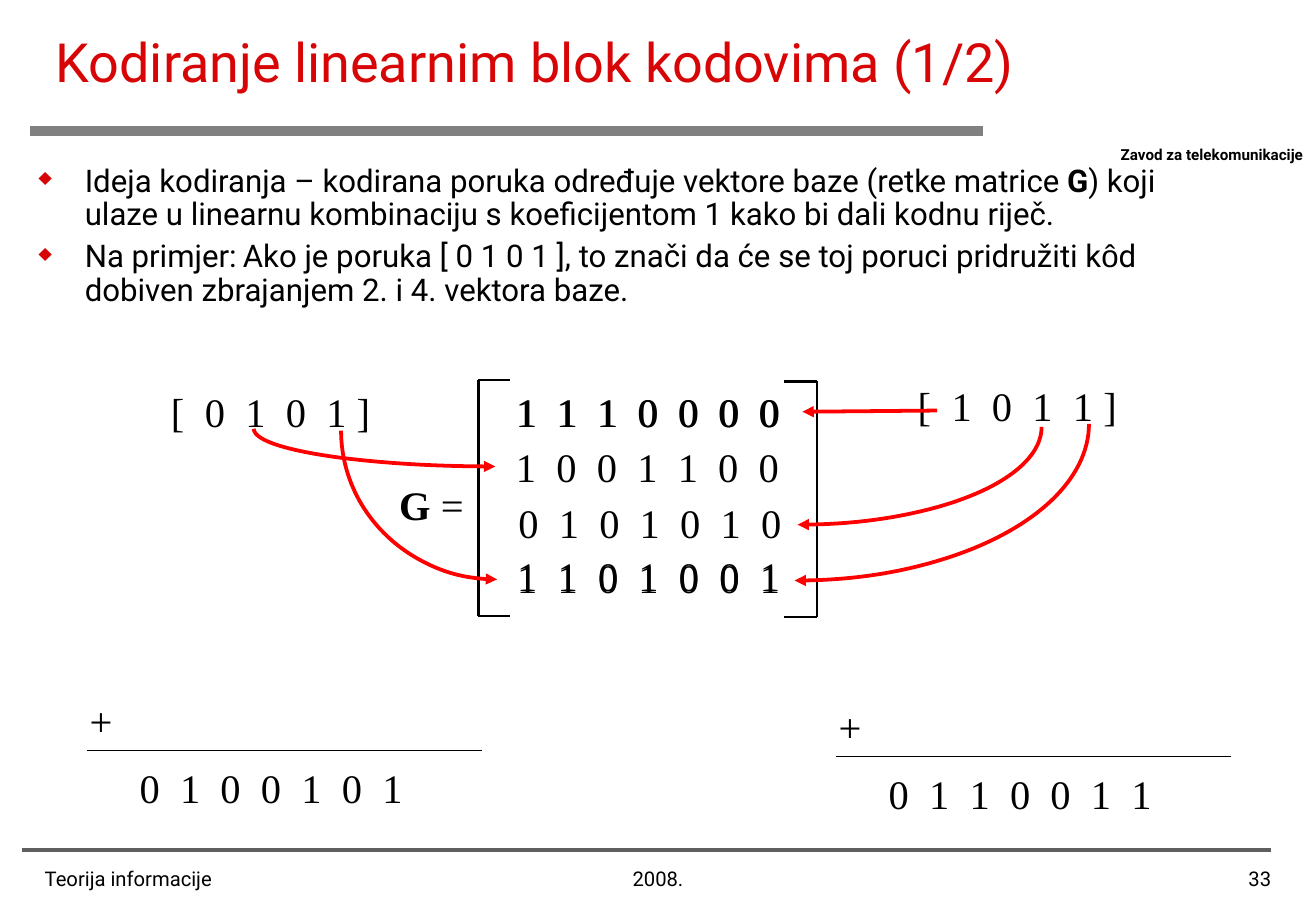
import pptx
import pptx.dml.color
import pptx.enum.shapes
import pptx.enum.text
import pptx.oxml.ns
import pptx.util
from lxml import etree

Inches = pptx.util.Inches
Align = pptx.enum.text.PP_ALIGN
Anchor = pptx.enum.text.MSO_ANCHOR
qn = pptx.oxml.ns.qn

COLORS = {"black": "000000", "title": "D70505", "arrow": "FF0000",
          "rule": "808080", "footer": "5F5F5F"}
DIGIT_PITCH = 1 / 3
BRACKET_WIDTH = 0.28


def color(name):
    return pptx.dml.color.RGBColor.from_string(COLORS[name])


def add_text(paragraph, text, size=24, font="Times New Roman", fill="black", bold=False):
    run = paragraph.add_run()
    run.text = text
    run.font.size = pptx.util.Pt(size)
    run.font.name = font
    run.font.bold = bold
    run.font.color.rgb = color(fill)


class SlideBuilder:
    """Draws styled text, digit rows, lines and arcs on one slide."""

    def __init__(self, presentation):
        self.slide = presentation.slides.add_slide(presentation.slide_layouts[6])
        self.shapes = self.slide.shapes

    def box(self, left, top, width, height, anchor=Anchor.TOP, align=Align.LEFT):
        frame = self.shapes.add_textbox(*map(Inches, (left, top, width, height))).text_frame
        frame.word_wrap = True
        frame.vertical_anchor = anchor
        frame.paragraphs[0].alignment = align
        return frame

    def label(self, text, left, top, width, height, anchor=Anchor.TOP, align=Align.LEFT, **style):
        frame = self.box(left, top, width, height, anchor, align)
        add_text(frame.paragraphs[0], text, **style)
        return frame

    def digits(self, text, left, top, width=2.53, indent=0.0, first_tab=DIGIT_PITCH):
        frame = self.label(text.replace(" ", "\t").replace("_", " "), left, top, width, 0.5)
        frame.margin_left = Inches(0.1 + indent)
        properties = frame.paragraphs[0]._p.get_or_add_pPr()
        tabs = etree.SubElement(properties, qn("a:tabLst"))
        for index in range(text.count(" ")):
            position = Inches(first_tab + index * DIGIT_PITCH)
            etree.SubElement(tabs, qn("a:tab"), pos=str(position), algn="l")

    def vector(self, text, left, top):
        self.digits(text, left, top, indent=0.08)

    def message(self, text, left, top):
        self.digits(text, left, top, width=1.84, first_tab=BRACKET_WIDTH)

    def stroke(self, shape, name, width, arrow=None):
        shape.line.color.rgb = color(name)
        shape.line.width = pptx.util.Pt(width)
        if arrow:
            etree.SubElement(shape.line._get_or_add_ln(), qn(f"a:{arrow}End"), type="triangle")

    def line(self, start, end, name="black", width=1.5, arrow=None):
        straight = pptx.enum.shapes.MSO_CONNECTOR.STRAIGHT
        connector = self.shapes.add_connector(straight, *map(Inches, (*start, *end)))
        self.stroke(connector, name, width, arrow)
        etree.SubElement(connector._element.spPr, qn("a:effectLst"))

    def bracket(self, spine, tip, top, bottom):
        corners = [(tip, bottom), (spine, bottom), (spine, top), (tip, top)]
        for start, end in zip(corners, corners[1:]):
            self.line(start, end)

    def arc(self, left, top, width, height, start_angle, arrow):
        arc = self.shapes.add_shape(pptx.enum.shapes.MSO_SHAPE.ARC,
                                    *map(Inches, (left, top, width, height)))
        arc.shadow.inherit = False
        arc.fill.background()
        arc.adjustments[0] = start_angle * 0.6
        arc.adjustments[1] = (start_angle + 90) * 0.6
        self.stroke(arc, "arrow", 2.25, arrow)

    def code_sum(self, code_word, left, top):
        self.line((left, top), (left + 3.25, top), width=0.75)
        self.vector(code_word, left + 0.25, top + 0.05)
        self.label("+", left - 0.08, top - 0.5, 0.39, 0.5)

    def bullets(self, items, left, top, width, height):
        frame = self.box(left, top, width, height)
        for index, runs in enumerate(items):
            paragraph = frame.add_paragraph() if index else frame.paragraphs[0]
            properties = paragraph._p.get_or_add_pPr()
            properties.set("marL", str(Inches(0.38)))
            properties.set("indent", str(-Inches(0.38)))
            bullet_color = etree.SubElement(properties, qn("a:buClr"))
            etree.SubElement(bullet_color, qn("a:srgbClr"), val=COLORS["title"])
            etree.SubElement(properties, qn("a:buSzPct"), val="75000")
            etree.SubElement(properties, qn("a:buChar"), char="♦")
            paragraph.line_spacing = 0.9
            if index:
                paragraph.space_before = pptx.util.Pt(5)
            for text, style in runs:
                add_text(paragraph, text, **{"size": 18.5, "font": "Roboto", **style})


def main():
    presentation = pptx.Presentation()
    presentation.slide_width = Inches(10.84)
    presentation.slide_height = Inches(7.5)
    builder = SlideBuilder(presentation)

    builder.line((8.1, 1.08), (0.25, 1.08), "rule", 6)
    builder.label("Zavod za telekomunikacije", 8.9, 1.15, 1.93, 0.25,
                  align=Align.RIGHT, size=9, font="Roboto", bold=True)
    builder.line((10.47, 7), (0.18, 7), "footer", 2.25)

    builder.bracket(3.94, 4.2, 3.13, 5.07)
    builder.bracket(6.73, 6.46, 3.14, 5.08)
    builder.message("[ 0 1 0 1_]", 1.31, 3.14)
    builder.message("[ 1 0 1 1_]", 7.46, 3.09)
    for left, top, vector in [
        (4.07, 3.14, "1 1 1 0 0 0 0"),
        (4.08, 3.14, "1 1 1 0 0 0 0"),
        (4.07, 3.59, "1 0 0 1 1 0 0"),
        (4.09, 4.05, "0 1 0 1 0 1 0"),
        (4.08, 4.49, "1 1 0 1 0 0 1"),
        (4.08, 4.5, "1 1 0 1 0 0 1"),
    ]:
        builder.vector(vector, left, top)
    matrix_name = builder.label("G ", 3.19, 3.9, 0.8, 0.5, bold=True)
    add_text(matrix_name.paragraphs[0], "=")

    builder.arc(2.09, 3.22, 3.98, 0.62, 90, "head")
    builder.arc(2.81, 2.32, 2.57, 2.45, 90, "head")
    builder.arc(4.56, 2.71, 4.02, 1.61, 0, "tail")
    builder.arc(4.12, 2.2, 4.85, 2.58, 0, "tail")
    builder.line((7.72, 3.38), (6.61, 3.39), "arrow", 2.25, "tail")

    builder.code_sum("0 1 0 0 1 0 1", 0.72, 6.18)
    builder.code_sum("0 1 1 0 0 1 1", 6.89, 6.23)

    builder.label("Kodiranje linearnim blok kodovima (1/2)", 0.36, 0, 8.6, 1,
                  anchor=Anchor.MIDDLE, size=32, font="Roboto", fill="title")
    builder.bullets([
        [("Ideja kodiranja – kodirana poruka određuje vektore baze (retke matrice ", {}),
         ("G", {"bold": True}),
         (") koji ulaze u linearnu kombinaciju s koeficijentom 1 kako bi dali kodnu riječ.", {})],
        [("Na primjer:", {}),
         (" ", {"size": 14.8}),
         ("Ako je poruka [ 0 1 0 1 ], to znači da će se toj poruci pridružiti k", {}),
         ("ô", {"font": "Arial"}),
         ("d dobiven zbrajanjem 2. i 4. vektora baze.", {})],
    ], 0.22, 1.31, 9.92, 1.5)

    for text, left, width, align in [
        ("Teorija informacije", 0.27, 3.43, Align.LEFT),
        ("33", 8.31, 2.26, Align.RIGHT),
        ("2008.", 4.29, 2.26, Align.CENTER),
    ]:
        builder.label(text, left, 7.08, width, 0.42, align=align, size=12, font="Roboto")

    presentation.save("out.pptx")


if __name__ == "__main__":
    main()
